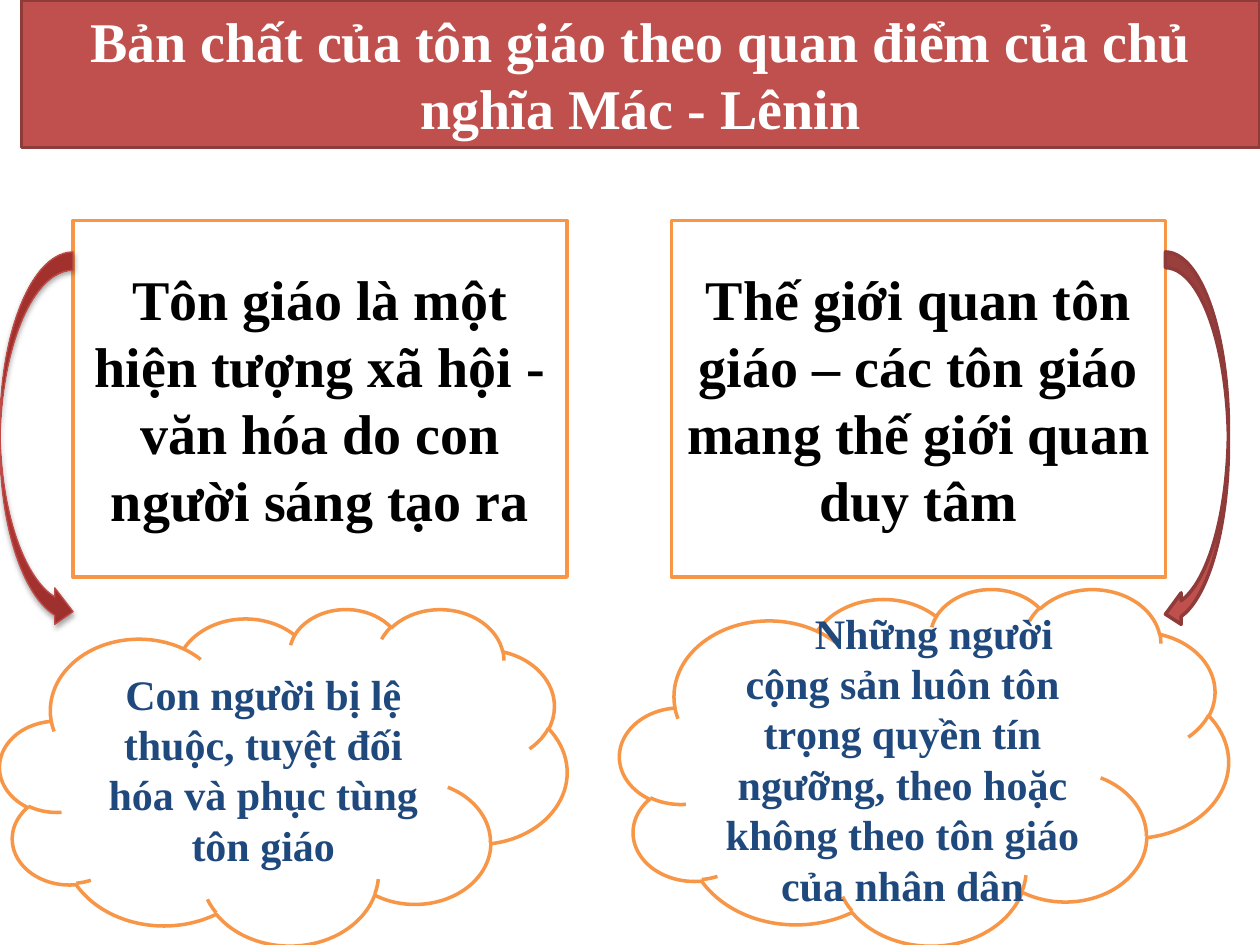
import pptx
import pptx.util
import pptx.dml.color
import pptx.enum.shapes
import pptx.enum.text
import pptx.oxml
import pptx.oxml.ns

Inches = pptx.util.Inches
Pt = pptx.util.Pt
SHAPE = pptx.enum.shapes.MSO_SHAPE

FONT = "Times New Roman"
COLORS = {
    "white": "FFFFFF", "black": "000000", "navy": "1F497D",
    "orange": "F79646", "red": "C0504D", "dark_red": "8E3B39",
    "arrow_line": "BF4C48", "arrow_dark": "9C2F2D", "arrow_light": "CB3E3A",
}
BOX_TOP, BOX_WIDTH, BOX_HEIGHT = 1.75, 3.92, 2.83


def rgb(name):
    return pptx.dml.color.RGBColor.from_string(COLORS[name])


def write_text(sp, text, size=32, color="black", indent=0):
    tf = sp.text_frame
    tf.word_wrap = True
    tf.auto_size = pptx.enum.text.MSO_AUTO_SIZE.NONE
    tf.vertical_anchor = pptx.enum.text.MSO_ANCHOR.MIDDLE
    p = tf.paragraphs[0]
    p.alignment = pptx.enum.text.PP_ALIGN.CENTER
    if indent:
        p_pr = p._p.get_or_add_pPr()
        p_pr.set("marL", "0")
        p_pr.set("indent", str(Inches(indent)))
    r = p.add_run()
    r.text = text
    r.font.name = FONT
    r.font.size = Pt(size)
    r.font.bold = True
    r.font.color.rgb = rgb(color)


def paint(sp, fill, line, width=2):
    sp.fill.solid()
    sp.fill.fore_color.rgb = rgb(fill)
    sp.line.color.rgb = rgb(line)
    sp.line.width = Pt(width)


def add_shape(s, kind, left, top, width, height, fill="white", line="orange"):
    sp = s.shapes.add_shape(kind, Inches(left), Inches(top), Inches(width), Inches(height))
    sp.shadow.inherit = False
    paint(sp, fill, line)
    return sp


def add_title(s, text):
    """Format the title placeholder as a rounded banner."""
    sp = s.shapes.title
    sp.left, sp.top = Inches(0.17), Inches(0)
    sp.width, sp.height = Inches(9.83), Inches(1.17)
    sp._element.spPr.append(pptx.oxml.parse_xml(
        f'<a:prstGeom {pptx.oxml.ns.nsdecls("a")} prst="flowChartTerminator"><a:avLst/></a:prstGeom>'))
    paint(sp, "red", "dark_red")
    write_text(sp, text, color="white")


def add_box(s, left, text):
    sp = add_shape(s, SHAPE.RECTANGLE, left, BOX_TOP, BOX_WIDTH, BOX_HEIGHT)
    write_text(sp, text)


def add_cloud(s, left, top, width, text, indent=0):
    """Add a cloud that reaches the bottom edge of the slide."""
    sp = add_shape(s, SHAPE.CLOUD, left, top, width, 7.5 - top)
    write_text(sp, text, size=24, color="navy", indent=indent)


def add_arrow(s, kind, left, width):
    return add_shape(s, kind, left, 2, width, 3, fill="red", line="dark_red")


def add_glossy_finish(sp):
    """Give an arrow a vertical gradient, a thin line and a soft shadow."""
    sp.fill.gradient()
    sp.fill.gradient_angle = 90
    stops = zip(sp.fill.gradient_stops, ("arrow_dark", "arrow_light"), (0, 0.8))
    for stop, color, position in stops:
        stop.color.rgb = rgb(color)
        stop.position = position
    sp.line.color.rgb = rgb("arrow_line")
    sp.line.width = Pt(0.75)
    effects = sp._element.spPr.find(pptx.oxml.ns.qn("a:effectLst"))
    effects.append(pptx.oxml.parse_xml(
        f'<a:outerShdw {pptx.oxml.ns.nsdecls("a")} blurRad="{Pt(3.1)}" dist="{Pt(1.8)}" '
        f'dir="5400000" rotWithShape="0"><a:srgbClr val="{COLORS["black"]}">'
        '<a:alpha val="35000"/></a:srgbClr></a:outerShdw>'))


def main():
    prs = pptx.Presentation()
    prs.slide_width, prs.slide_height = Inches(10), Inches(7.5)
    s = prs.slides.add_slide(prs.slide_layouts[5])

    add_title(s, "Bản chất của tôn giáo theo quan điểm của chủ nghĩa Mác - Lênin")
    add_box(s, 0.58, "Tôn giáo là một hiện tượng xã hội - văn hóa do con người sáng tạo ra")
    add_box(s, 5.33, "Thế giới quan tôn giáo – các tôn giáo mang thế giới quan duy tâm")
    add_cloud(s, 0, 4.83, 4.5, "Con người bị lệ thuộc, tuyệt đối hóa và phục tùng tôn giáo")
    add_glossy_finish(add_arrow(s, SHAPE.CURVED_RIGHT_ARROW, 0, 0.58))
    add_arrow(s, SHAPE.CURVED_LEFT_ARROW, 9.25, 0.5)
    add_cloud(s, 4.92, 4.67, 4.83,
              "Những người cộng sản luôn tôn trọng quyền tín ngưỡng, "
              "theo hoặc không theo tôn giáo của nhân dân", indent=0.5)

    prs.save("out.pptx")


if __name__ == "__main__":
    main()
